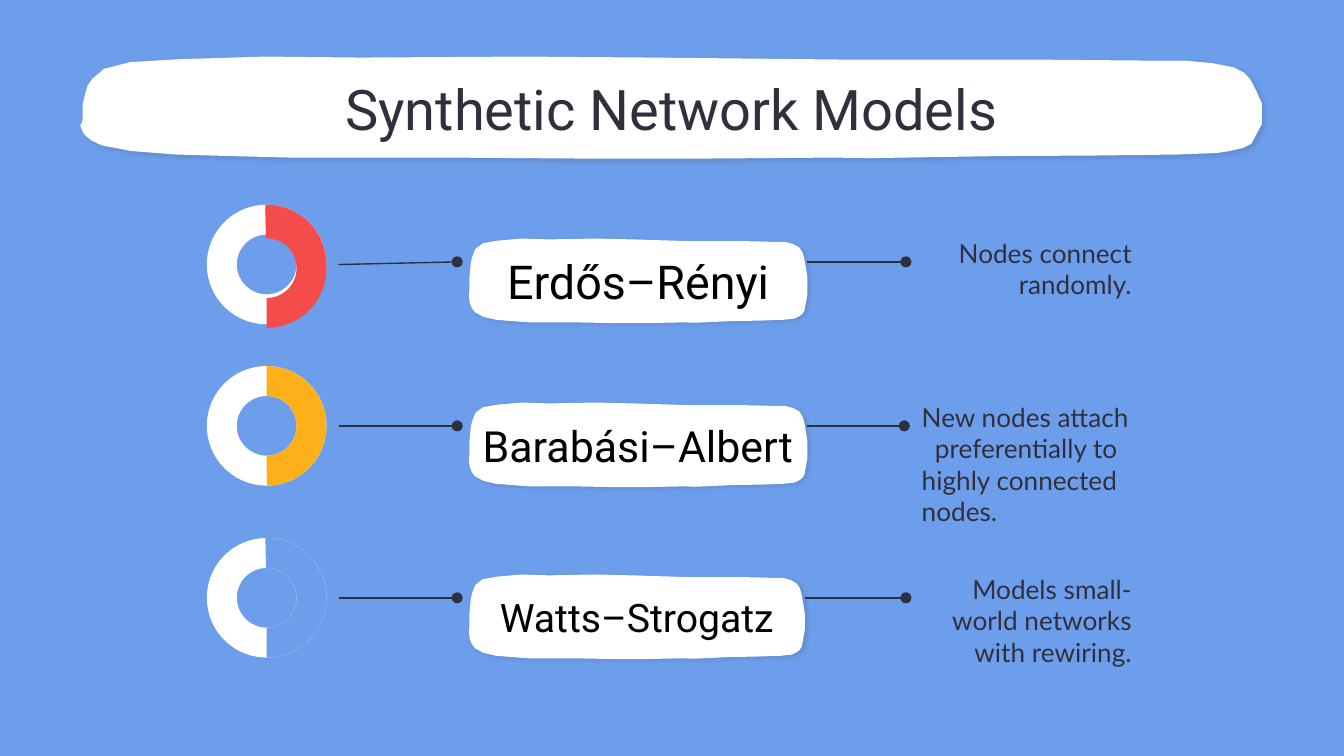
from dataclasses import dataclass

from lxml import etree
from pptx import Presentation
from pptx import util as u
from pptx.dml.color import RGBColor
from pptx.enum import shapes, text
from pptx.oxml import ns

BLUE, WHITE, BLACK, INK = "6D9EEB", "FFFFFF", "000000", "302F3D"
RED, AMBER = "F44B4B", "FEB01B"
RING_LEFT, RING_SIZE = 3.91, 2.26
LABEL_LEFT, LABEL_HEIGHT = 8.86, 1.6

# Brush outline in percent of width and height
BRUSH = [
    (90.7, 4), (80.7, 3), (64.7, 3), (48.4, 1), (37.4, 0), (23.8, 1),
    (15.6, 0), (8.4, 2.6), (4.2, 5.5), (2, 12), (1.4, 18), (1, 22),
    (0.6, 29), (0.4, 37), (0.2, 47), (0.2, 62), (0, 68), (0.3, 76),
    (0.9, 82), (1.8, 87), (4.3, 92.5), (8.1, 96), (12.7, 97.5), (17.9, 99),
    (31.3, 99), (43.7, 100), (51.6, 100), (63.7, 99), (66.9, 99.5),
    (77.8, 97.5), (85.4, 97), (92.9, 96), (96.2, 94.5), (97.3, 92.5),
    (98.4, 89.5), (99.1, 85.5), (100, 66), (100, 46), (99.5, 33), (99, 22),
    (98.5, 16), (97.6, 10.5), (95.8, 6.5), (93.5, 4),
]


@dataclass
class Arc:
    start: float
    end: float
    color: str
    rotation: float = 0
    drop: float = 0


@dataclass
class Model:
    name: str
    size: float
    note: list[str]
    align: text.PP_ALIGN
    wire_y: float
    ring_y: float
    label_width: float
    wire_end: float
    arcs: list[Arc]
    indent: float = 0


MODELS = [
    Model("Erdős–Rényi", 25, ["Nodes connect randomly."], text.PP_ALIGN.RIGHT,
          4.95, 5.0, 6.4, 17.12,
          [Arc(268.8, 0, RED), Arc(268.8, 0, RED, 90, 0.07), Arc(268.8, 0, RED, 0, 0.07)]),
    Model("Barabási–Albert", 23,
          ["New nodes attach", "preferentially to highly connected nodes."],
          text.PP_ALIGN.LEFT, 8.05, 8.05, 6.4, 17.09,
          [Arc(270.08, 89.83, AMBER)], 0.25),
    Model("Watts–Strogatz", 21, ["Models small-world networks with rewiring."],
          text.PP_ALIGN.RIGHT, 11.3, 11.3, 6.35, 17.12,
          [Arc(268.8, 0, BLUE), Arc(268.8, 0, BLUE, 90)]),
]


def rgb(value: str) -> RGBColor:
    return RGBColor.from_string(value)


def paint(shape, color: str) -> None:
    shape.shadow.inherit = False
    shape.fill.solid()
    shape.fill.fore_color.rgb = rgb(color)
    shape.line.fill.background()


def write(shape, lines: list[str], font: str, size: float, color: str,
          align: text.PP_ALIGN, anchor: text.MSO_ANCHOR, inset: float,
          indent: float = 0) -> None:
    frame = shape.text_frame
    frame.word_wrap = True
    frame.vertical_anchor = anchor
    frame.margin_left = frame.margin_right = u.Cm(inset)
    frame.margin_top = frame.margin_bottom = u.Cm(inset)
    for index, line in enumerate(lines):
        para = frame.add_paragraph() if index else frame.paragraphs[0]
        para.alignment = align
        if index and indent:
            para._p.get_or_add_pPr().set("indent", str(u.Cm(indent)))
        span = para.add_run()
        span.text = line
        span.font.name = font
        span.font.size = u.Pt(size)
        span.font.color.rgb = rgb(color)


def add_brush(page, left: float, top: float, width: float, height: float):
    points = [(u.Cm(left + width * x / 100), u.Cm(top + height * y / 100))
              for x, y in BRUSH]
    builder = page.shapes.build_freeform(*points[0])
    builder.add_line_segments(points[1:], close=True)
    brush = builder.convert_to_shape()
    paint(brush, WHITE)
    effects = brush._element.spPr.find(ns.qn("a:effectLst"))
    shadow = etree.SubElement(effects, ns.qn("a:outerShdw"), blurRad=str(u.Pt(2.2)),
                              dist=str(u.Pt(1.5)), dir=str(33 * 60000),
                              algn="bl", rotWithShape="0")
    tint = etree.SubElement(shadow, ns.qn("a:srgbClr"), val=BLACK)
    etree.SubElement(tint, ns.qn("a:alpha"), val="10000")
    return brush


def add_text(page, left: float, top: float, width: float, height: float):
    return page.shapes.add_textbox(u.Cm(left), u.Cm(top), u.Cm(width), u.Cm(height))


def add_wire(page, x1: float, y1: float, x2: float, y2: float) -> None:
    wire = page.shapes.add_connector(shapes.MSO_CONNECTOR.STRAIGHT,
                                     u.Cm(x1), u.Cm(y1), u.Cm(x2), u.Cm(y2))
    wire.line.color.rgb = rgb(INK)
    wire.line.width = u.Pt(0.75)
    etree.SubElement(wire.line._get_or_add_ln(), ns.qn("a:tailEnd"), type="oval")
    etree.SubElement(wire._element.spPr, ns.qn("a:effectLst"))


def add_ring_part(page, kind: shapes.MSO_SHAPE, top: float, color: str,
                  adjustments: list[float]):
    part = page.shapes.add_shape(kind, u.Cm(RING_LEFT), u.Cm(top),
                                 u.Cm(RING_SIZE), u.Cm(RING_SIZE))
    paint(part, color)
    for index, value in enumerate(adjustments):
        part.adjustments[index] = value
    return part


def draw_model(page, model: Model) -> None:
    top = model.ring_y - RING_SIZE / 2
    add_ring_part(page, shapes.MSO_SHAPE.DONUT, top, WHITE, [0.25])
    for arc in model.arcs:
        part = add_ring_part(page, shapes.MSO_SHAPE.BLOCK_ARC, top + arc.drop,
                             arc.color, [arc.start * 0.6, arc.end * 0.6, 0.25])
        part.rotation = arc.rotation

    add_wire(page, 6.4, model.ring_y, 8.64, model.wire_y)
    add_wire(page, LABEL_LEFT + model.label_width, model.wire_y,
             model.wire_end, model.wire_y)
    label = add_brush(page, LABEL_LEFT, model.wire_y - 0.44,
                      model.label_width, LABEL_HEIGHT)
    write(label, [model.name], "Roboto", model.size, BLACK,
          text.PP_ALIGN.CENTER, text.MSO_ANCHOR.MIDDLE, 0.25)
    note = add_text(page, model.wire_end, model.wire_y - 0.79, 4.6, 1.6)
    write(note, model.note, "Lato", 14, INK, model.align,
          text.MSO_ANCHOR.TOP, 0.33, model.indent)


def main() -> None:
    deck = Presentation()
    deck.slide_width, deck.slide_height = u.Cm(25.4), u.Cm(14.29)
    page = deck.slides.add_slide(deck.slide_layouts[6])
    page.background.fill.solid()
    page.background.fill.fore_color.rgb = rgb(BLUE)

    add_brush(page, 1.52, 1.07, 22.33, 1.93)
    title = add_text(page, 1.78, 1.24, 21.82, 1.6)
    write(title, ["Synthetic Network Models"], "Roboto", 30, INK,
          text.PP_ALIGN.CENTER, text.MSO_ANCHOR.MIDDLE, 0.25)
    for model in MODELS:
        draw_model(page, model)
    deck.save("out.pptx")


if __name__ == "__main__":
    main()
